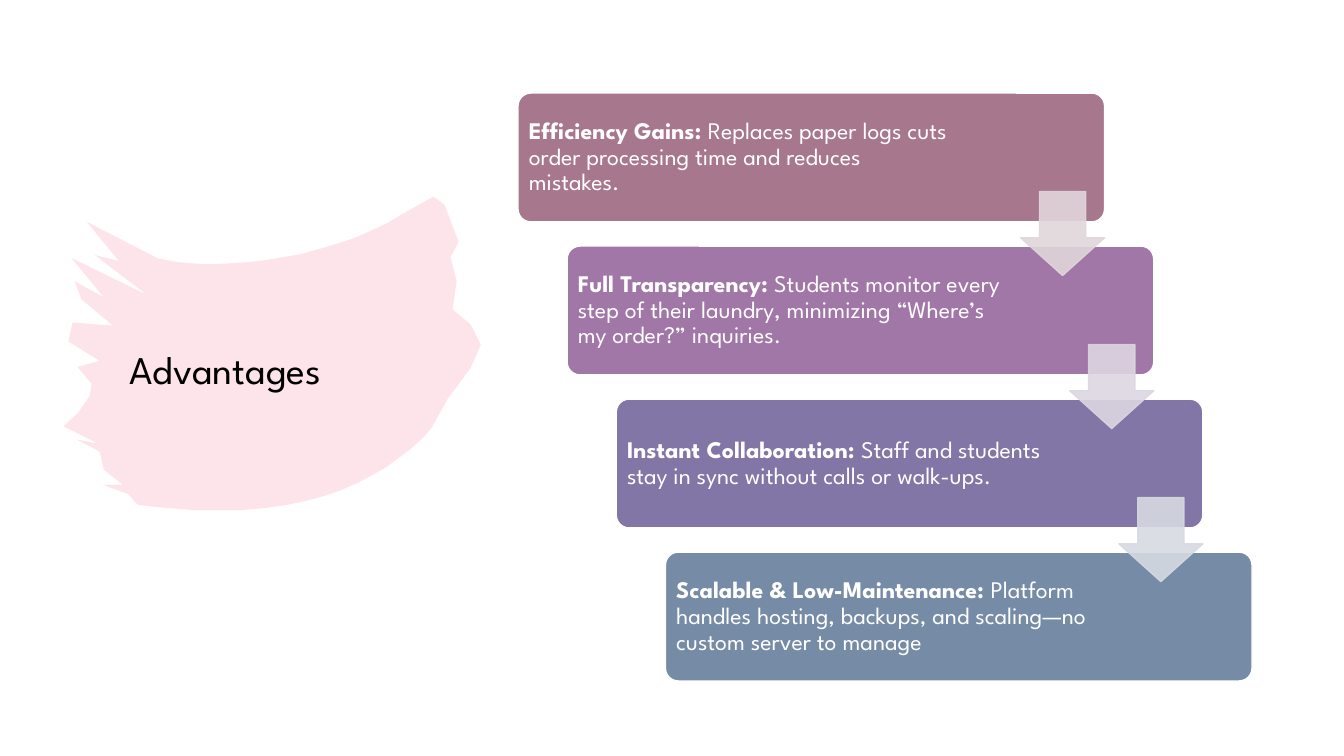
from pptx import Presentation
from pptx.dml.color import RGBColor
from pptx.enum.shapes import MSO_SHAPE
from pptx.enum.text import MSO_ANCHOR
from pptx.oxml.ns import qn
from pptx.util import Pt
from lxml import etree

CARD = MSO_SHAPE.ROUNDED_RECTANGLE
ARROW = MSO_SHAPE.DOWN_ARROW
MIDDLE = MSO_ANCHOR.MIDDLE

THEME = {
    "font": "League Spartan",
    "title": 28,
    "body": 17,
    "ink": "000000",
    "paper": "FFFFFF",
    "brush": "F07C98",
    "cards": ["A6778D", "A077A6", "8176A6", "768BA6"],
    "arrows": ["E1D6DB", "DCD6E1", "D6DAE1"],
}

ITEMS = [
    ("Efficiency Gains: ", "Replaces paper logs cuts order processing time and reduces mistakes.", 311),
    ("Full Transparency: ", "Students monitor every step of their laundry, minimizing “Where’s my order?” inquiries.", 318),
    ("Instant Collaboration: ", "Staff and students stay in sync without calls or walk-ups.", 318),
    ("Scalable & Low-Maintenance: ", "Platform handles hosting, backups, and scaling—no custom server to manage", 318),
]

TOP = [(156, 256), (200, 270), (320, 262), (400, 212)]
RIGHT = [(430, 195), (441, 203), (455, 240), (447, 255), (453, 279), (449, 307),
         (467, 322), (477, 342), (467, 365), (444, 396)]
BASE = [(428, 425), (380, 480), (290, 522), (137, 501)]
LEFT = [(127, 490), (102, 481), (122, 481), (103, 466), (99, 448), (76, 436),
        (97, 440), (63, 423), (77, 410), (89, 393), (91, 381), (77, 364),
        (99, 358), (68, 339), (72, 320), (112, 323), (81, 297), (74, 279),
        (103, 295), (71, 256), (145, 292), (94, 253), (118, 259), (86, 220)]


def paint(shape, color, alpha=None):
    shape.shadow.inherit = False
    shape.fill.solid()
    shape.fill.fore_color.rgb = RGBColor.from_string(color)
    if alpha:
        for tone in shape._element.spPr.iter(qn("a:srgbClr")):
            etree.SubElement(tone, qn("a:alpha")).set("val", str(alpha * 1000))


def write(box, parts, size, color):
    frame = box.text_frame
    frame.word_wrap = True
    frame.vertical_anchor = MIDDLE
    para = frame.paragraphs[0]
    para.line_spacing = 0.9
    for text, bold in parts:
        run = para.add_run()
        run.text = text
        run.font.name = THEME["font"]
        run.font.size = Pt(size)
        run.font.bold = bold
        run.font.color.rgb = RGBColor.from_string(color)
    return frame


deck = Presentation()
deck.slide_width, deck.slide_height = Pt(960), Pt(540)
slide = deck.slides.add_slide(deck.slide_layouts[6])
shapes = slide.shapes

edge = []
for curve, jags in ((TOP, RIGHT), (BASE, LEFT)):
    for n in range(17):
        t = n / 16
        mix = ((1 - t) ** 3, 3 * t * (1 - t) ** 2, 3 * t * t * (1 - t), t ** 3)
        edge.append(tuple(sum(m * v for m, v in zip(mix, axis)) for axis in zip(*curve)))
    edge += jags
pen = shapes.build_freeform(*edge[0], scale=Pt(0.72))
pen.add_line_segments(edge[1:], close=True)
brush = pen.convert_to_shape()
brush.line.fill.background()
paint(brush, THEME["brush"], 20)

title = shapes.add_textbox(Pt(78.5), Pt(206.6), Pt(237), Pt(118))
write(title, [(" Advantages", False)], THEME["title"], THEME["ink"])

left, top, right, down = 370, 66.5, 35.1, 109.3
for i, (head, body, width) in enumerate(ITEMS):
    x, y = left + i * right, top + i * down
    card = shapes.add_shape(CARD, Pt(x), Pt(y), Pt(419), Pt(92))
    card.adjustments[0] = 0.1
    card.line.color.rgb = RGBColor.from_string(THEME["paper"])
    card.line.width = Pt(1)
    paint(card, THEME["cards"][i])
    box = shapes.add_textbox(Pt(x + 2.7), Pt(y + 2.5), Pt(width), Pt(87))
    frame = write(box, [(head, True), (body, False)], THEME["body"], THEME["paper"])
    frame.margin_left = frame.margin_right = Pt(5)
    frame.margin_top = frame.margin_bottom = Pt(5)

for i, color in enumerate(THEME["arrows"]):
    arrow = shapes.add_shape(ARROW, Pt(729 + i * right), Pt(136.8 + i * down), Pt(60), Pt(60))
    arrow.adjustments[0], arrow.adjustments[1] = 0.55, 0.45
    arrow.line.color.rgb = RGBColor.from_string(color)
    arrow.line.width = Pt(1)
    paint(arrow, color, 90)

deck.save("out.pptx")
